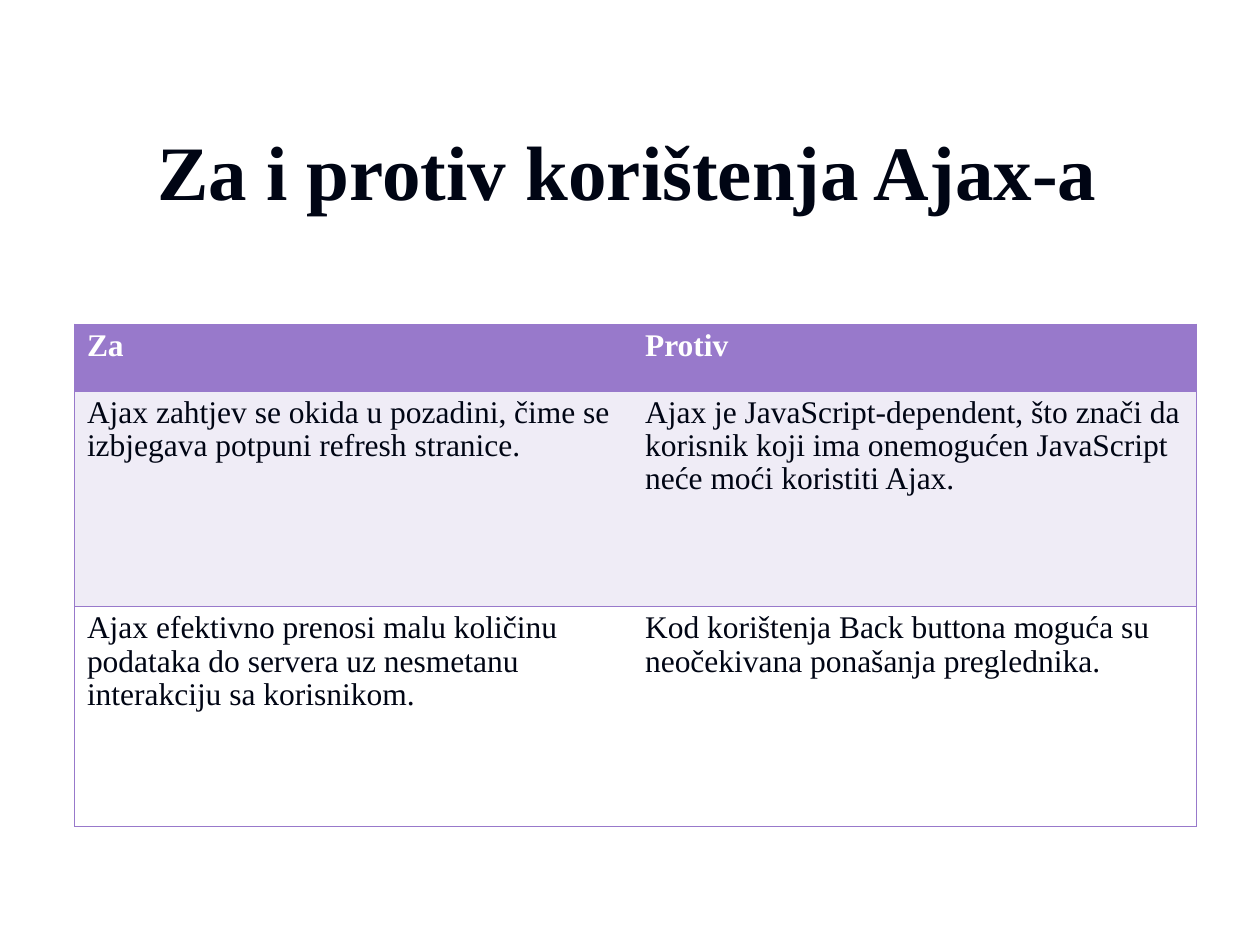
from dataclasses import dataclass

from lxml.etree import SubElement
from pptx import Presentation
from pptx.dml.color import RGBColor
from pptx.enum.text import MSO_ANCHOR, PP_ALIGN
from pptx.oxml.ns import qn
from pptx.util import Cm, Pt


@dataclass(frozen=True)
class Theme:
    font: str = "Times New Roman"
    ink: str = "000514"
    purple: str = "9879CB"
    lilac: str = "EFECF6"
    white: str = "FFFFFF"
    title_size: int = 44
    body_size: int = 18
    line_spacing: float = 0.95
    border_width: float = 0.45


THEME = Theme()
TITLE = "Za i protiv korištenja Ajax-a"
ROWS = [
    ("Za", "Protiv"),
    (
        "Ajax zahtjev se okida u pozadini, čime se izbjegava potpuni refresh stranice.",
        "Ajax je JavaScript-dependent, što znači da korisnik koji ima onemogućen "
        "JavaScript neće moći koristiti Ajax.",
    ),
    (
        "Ajax efektivno prenosi malu količinu podataka do servera uz nesmetanu "
        "interakciju sa korisnikom.",
        "Kod korištenja Back buttona moguća su neočekivana ponašanja preglednika.",
    ),
]
COLUMN_WIDTHS = (11.25, 11.37)
ROW_HEIGHTS = (1.35, 4.34, 4.44)


def style_text(frame, size, color, bold):
    for para in frame.paragraphs:
        for span in para.runs:
            span.font.name = THEME.font
            span.font.size = Pt(size)
            span.font.bold = bold
            span.font.color.rgb = RGBColor.from_string(color)


def set_borders(cell, visible_sides):
    """Draw the named sides (L, R, T, B) and hide the others; call before filling."""
    properties = cell._tc.get_or_add_tcPr()
    for side in "LRTB":
        line = SubElement(properties, qn(f"a:ln{side}"), w=str(Pt(THEME.border_width)))
        if side in visible_sides:
            fill = SubElement(line, qn("a:solidFill"))
            SubElement(fill, qn("a:srgbClr"), val=THEME.purple)
        else:
            SubElement(line, qn("a:noFill"))


def add_title(page, left, top, width, height):
    box = page.shapes.add_textbox(Cm(left), Cm(top), Cm(width), Cm(height))
    frame = box.text_frame
    frame.word_wrap = True
    frame.vertical_anchor = MSO_ANCHOR.MIDDLE
    frame.text = TITLE
    frame.paragraphs[0].alignment = PP_ALIGN.CENTER
    style_text(frame, THEME.title_size, THEME.ink, bold=True)


def add_comparison(page, left, top):
    table = page.shapes.add_table(
        len(ROWS), len(COLUMN_WIDTHS), Cm(left), Cm(top),
        Cm(sum(COLUMN_WIDTHS)), Cm(sum(ROW_HEIGHTS)),
    ).table
    for column, width in zip(table.columns, COLUMN_WIDTHS):
        column.width = Cm(width)
    for row, height in zip(table.rows, ROW_HEIGHTS):
        row.height = Cm(height)

    row_fills = (THEME.purple, THEME.lilac, THEME.white)
    for row_index, (texts, fill) in enumerate(zip(ROWS, row_fills)):
        is_header = row_index == 0
        for cell, text, outer_side in zip(table.rows[row_index].cells, texts, "LR"):
            set_borders(cell, "TB" + outer_side)
            cell.fill.solid()
            cell.fill.fore_color.rgb = RGBColor.from_string(fill)
            cell.text_frame.text = text
            cell.text_frame.paragraphs[0].line_spacing = THEME.line_spacing
            color = THEME.white if is_header else THEME.ink
            style_text(cell.text_frame, THEME.body_size, color, bold=is_header)


def main():
    deck = Presentation()
    deck.slide_width, deck.slide_height = Cm(25.4), Cm(19.05)
    page = deck.slides.add_slide(deck.slide_layouts[6])
    add_title(page, left=1.22, top=2.31, width=22.86, height=2.21)
    add_comparison(page, left=1.5, top=6.53)
    deck.save("out.pptx")


if __name__ == "__main__":
    main()
